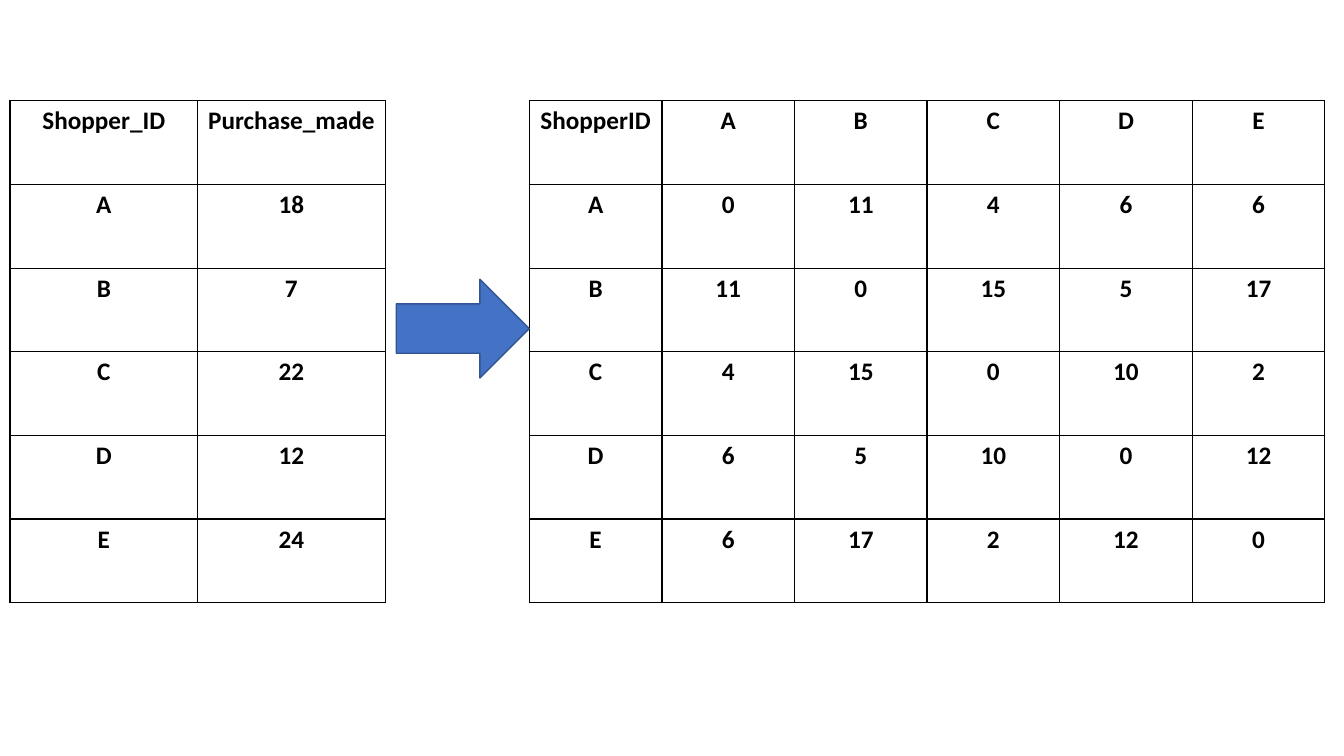
"""Build a slide that turns shopper purchases into a pairwise distance matrix."""
from dataclasses import dataclass

from lxml.etree import SubElement
from pptx import Presentation
from pptx.dml.color import RGBColor
from pptx.enum.shapes import MSO_SHAPE as Shape
from pptx.enum.text import PP_ALIGN as Align
from pptx.oxml.ns import qn
from pptx.slide import Slide
from pptx.table import _Cell as Cell
from pptx.util import Inches, Pt

BLACK = RGBColor(0x00, 0x00, 0x00)
BLUE = RGBColor(0x44, 0x72, 0xC4)
DARK_BLUE = RGBColor(0x32, 0x54, 0x91)

TOP = 1.0
ROW_HEIGHT = 0.83
PURCHASES = {"A": 18, "B": 7, "C": 22, "D": 12, "E": 24}
FONT_FORMAT = {"name": "Calibri", "size": Pt(18), "bold": True}
CELL_FORMAT = {"margin_left": Inches(0.07), "margin_right": Inches(0.07)}


@dataclass
class Grid:
    """A bordered table with equal columns."""

    left: float
    column_width: float
    rows: list[list[str]]


def apply_format(target: object, values: dict) -> None:
    """Set each named attribute on the target."""
    for name, value in values.items():
        setattr(target, name, value)


def draw_borders(cell: Cell) -> None:
    """Give the cell a thin black line on all four sides."""
    properties = cell._tc.get_or_add_tcPr()
    for index, side in enumerate(("lnL", "lnR", "lnT", "lnB")):
        line = SubElement(properties, qn(f"a:{side}"), w=str(Pt(1)))
        fill = SubElement(line, qn("a:solidFill"))
        SubElement(fill, qn("a:srgbClr"), val=str(BLACK))
        properties.insert(index, line)


def fill_cell(cell: Cell, text: str) -> None:
    """Write centred bold text in a plain bordered cell."""
    cell.fill.background()
    apply_format(cell, CELL_FORMAT)
    para = cell.text_frame.paragraphs[0]
    para.alignment = Align.CENTER
    span = para.add_run()
    span.text = text
    apply_format(span.font, FONT_FORMAT)
    span.font.color.rgb = BLACK
    draw_borders(cell)


def draw_grid(page: Slide, grid: Grid) -> None:
    """Add the grid to the page as a table."""
    row_count, column_count = len(grid.rows), len(grid.rows[0])
    table = page.shapes.add_table(
        row_count, column_count, Inches(grid.left), Inches(TOP),
        Inches(grid.column_width * column_count), Inches(ROW_HEIGHT * row_count),
    ).table
    for column in table.columns:
        column.width = Inches(grid.column_width)
    for row, texts in zip(table.rows, grid.rows):
        row.height = Inches(ROW_HEIGHT)
        for cell, text in zip(row.cells, texts):
            fill_cell(cell, text)


def draw_arrow(page: Slide) -> None:
    """Add the block arrow that leads from purchases to distances."""
    arrow = page.shapes.add_shape(
        Shape.RIGHT_ARROW, Inches(3.93), Inches(2.77), Inches(1.32), Inches(0.98))
    arrow.shadow.inherit = False
    arrow.fill.solid()
    arrow.fill.fore_color.rgb = BLUE
    arrow.line.color.rgb = DARK_BLUE
    arrow.line.width = Pt(1)


def main() -> None:
    """Lay out both tables and the arrow, then save the deck."""
    deck = Presentation()
    apply_format(deck, {"slide_width": Inches(13.33), "slide_height": Inches(7.5)})
    page = deck.slides.add_slide(deck.slide_layouts[6])

    purchase_rows = [["Shopper_ID", "Purchase_made"]]
    distance_rows = [["ShopperID", *PURCHASES]]
    for shopper, amount in PURCHASES.items():
        purchase_rows.append([shopper, str(amount)])
        distances = [str(abs(amount - other)) for other in PURCHASES.values()]
        distance_rows.append([shopper, *distances])

    draw_grid(page, Grid(0.1, 1.86, purchase_rows))
    draw_grid(page, Grid(5.25, 1.315, distance_rows))
    draw_arrow(page)
    deck.save("out.pptx")


if __name__ == "__main__":
    main()
